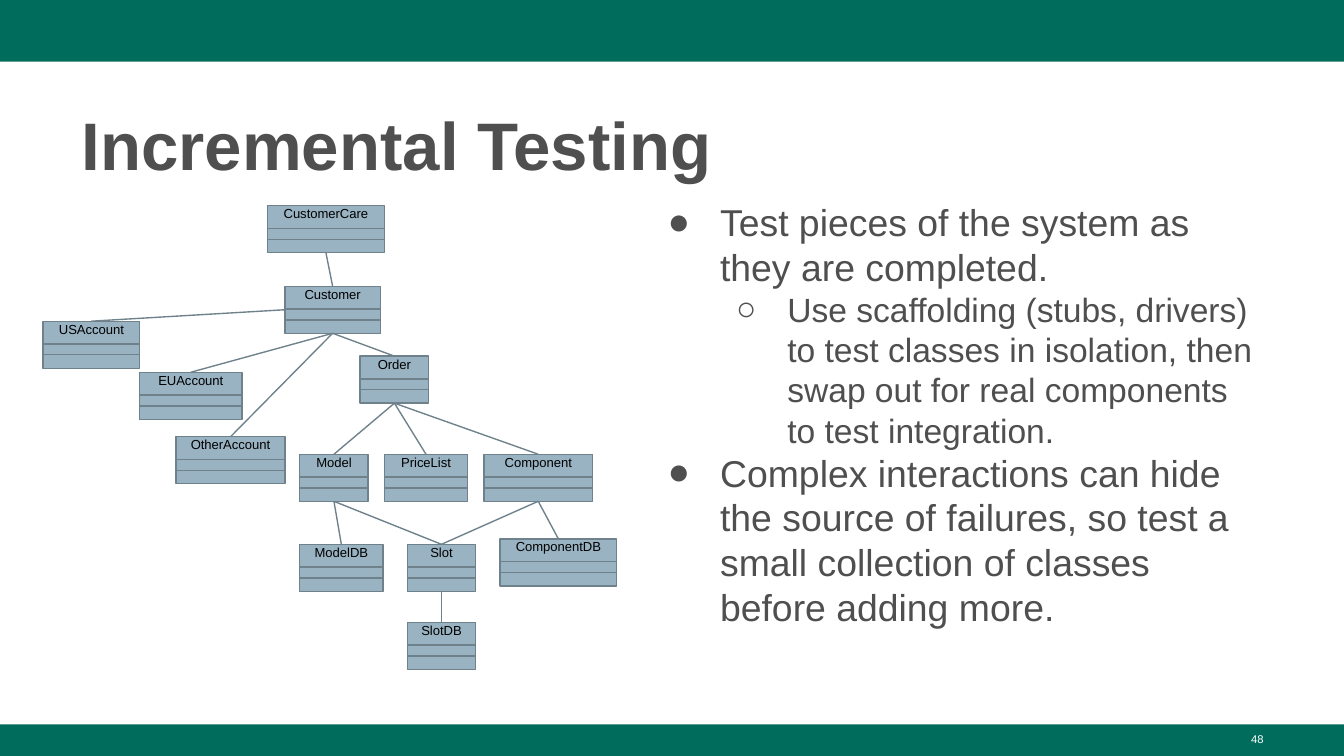
from dataclasses import dataclass

from lxml import etree
from pptx import Presentation
from pptx.dml.color import RGBColor
from pptx.enum.shapes import MSO_CONNECTOR, MSO_SHAPE
from pptx.enum.text import MSO_ANCHOR, PP_ALIGN
from pptx.oxml.ns import qn
from pptx.util import Inches, Pt

RECTANGLE = MSO_SHAPE.RECTANGLE
STRAIGHT = MSO_CONNECTOR.STRAIGHT
TOP, BOTTOM = MSO_ANCHOR.TOP, MSO_ANCHOR.BOTTOM
LEFT, CENTER, RIGHT = PP_ALIGN.LEFT, PP_ALIGN.CENTER, PP_ALIGN.RIGHT

FONT = "Arial"
GREEN, GRAY, WHITE, BLACK = "006C5C", "4F4F4F", "FFFFFF", "000000"
CLASS_FILL, CLASS_LINE = "99B3C2", "6F828C"
SLIDE_WIDTH = 10
SLIDE_HEIGHT = SLIDE_WIDTH * 9 / 16
CLASS_HEIGHT = 0.35
DIVIDER_OFFSETS = (0.17, 0.25)
TOP_SITE, LEFT_SITE, BOTTOM_SITE = 0, 1, 2


@dataclass
class ClassBox:
    name: str
    left: float
    top: float
    width: float


@dataclass
class Link:
    parent: str
    child: str
    parent_site: int = BOTTOM_SITE


@dataclass
class Bullet:
    text: str
    symbol: str
    size: int
    margin: float
    indent: float
    level: int = 0


CLASSES = [
    ClassBox("USAccount", 0.32, 2.39, 0.72),
    ClassBox("OtherAccount", 1.31, 3.25, 0.81),
    ClassBox("EUAccount", 1.04, 2.77, 0.76),
    ClassBox("Customer", 2.12, 2.13, 0.71),
    ClassBox("CustomerCare", 1.99, 1.53, 0.87),
    ClassBox("Order", 2.68, 2.65, 0.51),
    ClassBox("Model", 2.23, 3.38, 0.51),
    ClassBox("PriceList", 2.86, 3.38, 0.62),
    ClassBox("Component", 3.6, 3.38, 0.81),
    ClassBox("Slot", 3.03, 4.05, 0.51),
    ClassBox("ModelDB", 2.23, 4.05, 0.62),
    ClassBox("SlotDB", 3.03, 4.63, 0.51),
    ClassBox("ComponentDB", 3.72, 4.01, 0.87),
]

LINKS = [
    Link("CustomerCare", "Customer"),
    Link("Customer", "USAccount", LEFT_SITE),
    Link("Customer", "EUAccount"),
    Link("Customer", "OtherAccount"),
    Link("Customer", "Order"),
    Link("Order", "Model"),
    Link("Order", "PriceList"),
    Link("Order", "Component"),
    Link("Model", "ModelDB"),
    Link("Model", "Slot"),
    Link("Component", "Slot"),
    Link("Component", "ComponentDB"),
    Link("Slot", "SlotDB"),
]

BULLETS = [
    Bullet("Test pieces of the system as they are completed. ", "●", 20, 0.5, -0.39),
    Bullet("Use scaffolding (stubs, drivers) to test classes in isolation, then "
           "swap out for real components to test integration.", "○", 18, 1, -0.38, 1),
    Bullet("Complex interactions can hide the source of failures, so test a small "
           "collection of classes before adding more.", "●", 20, 0.5, -0.39),
]


def color(value: str) -> RGBColor:
    return RGBColor.from_string(value)


def add_rectangle(slide, left: float, top: float, width: float, height: float,
                  fill: str, line: str = ""):
    shape = slide.shapes.add_shape(RECTANGLE, Inches(left), Inches(top),
                                   Inches(width), Inches(height))
    shape.shadow.inherit = False
    shape.fill.solid()
    shape.fill.fore_color.rgb = color(fill)
    if line:
        shape.line.color.rgb = color(line)
        shape.line.width = Pt(0.75)
    else:
        shape.line.fill.background()
    return shape


def add_line(slide, x1: float, y1: float, x2: float, y2: float):
    connector = slide.shapes.add_connector(STRAIGHT, Inches(x1), Inches(y1),
                                           Inches(x2), Inches(y2))
    connector.line.color.rgb = color(CLASS_LINE)
    connector.line.width = Pt(0.75)
    etree.SubElement(connector.element.spPr, qn("a:effectLst"))
    return connector


def set_frame(shape, side: float, top: float, bottom: float, anchor=TOP):
    frame = shape.text_frame
    frame.word_wrap = True
    frame.margin_left = frame.margin_right = Inches(side)
    frame.margin_top, frame.margin_bottom = Inches(top), Inches(bottom)
    frame.vertical_anchor = anchor
    return frame


def add_text_box(slide, left: float, top: float, width: float, height: float):
    return slide.shapes.add_textbox(Inches(left), Inches(top), Inches(width), Inches(height))


def write(paragraph, text: str, size: int, text_color: str, align=LEFT,
          bold: bool = False) -> None:
    paragraph.alignment = align
    run = paragraph.add_run()
    run.text = text
    run.font.name = FONT
    run.font.size = Pt(size)
    run.font.bold = bold
    run.font.color.rgb = color(text_color)


def set_bullet(paragraph, bullet: Bullet) -> None:
    paragraph.level = bullet.level
    properties = paragraph._p.get_or_add_pPr()
    properties.set("marL", str(Inches(bullet.margin)))
    properties.set("indent", str(Inches(bullet.indent)))
    bullet_color = etree.SubElement(properties, qn("a:buClr"))
    etree.SubElement(bullet_color, qn("a:srgbClr")).set("val", GRAY)
    etree.SubElement(properties, qn("a:buFont")).set("typeface", FONT)
    etree.SubElement(properties, qn("a:buChar")).set("char", bullet.symbol)


def add_class(slide, box: ClassBox):
    shape = add_rectangle(slide, box.left, box.top, box.width, CLASS_HEIGHT,
                          CLASS_FILL, CLASS_LINE)
    frame = set_frame(shape, 0, 0, 0)
    write(frame.paragraphs[0], box.name, 7, BLACK, CENTER)
    for offset in DIVIDER_OFFSETS:
        y = box.top + offset
        add_line(slide, box.left, y, box.left + box.width, y)
    return shape


presentation = Presentation()
presentation.slide_width = Inches(SLIDE_WIDTH)
presentation.slide_height = Inches(SLIDE_HEIGHT)
slide = presentation.slides.add_slide(presentation.slide_layouts[6])

# Header and footer bands
add_rectangle(slide, 0, 0, SLIDE_WIDTH, 0.46, GREEN)
add_rectangle(slide, 0, 5.39, SLIDE_WIDTH, SLIDE_HEIGHT - 5.39, GREEN)

# Title
title = set_frame(add_text_box(slide, 0.51, 0.67, 8.99, 0.73), 0.1, 0.05, 0.03, BOTTOM)
write(title.paragraphs[0], "Incremental Testing", 36, GRAY, bold=True)

# Bullet list
body = set_frame(add_text_box(slide, 4.76, 1.38, 4.74, 3.74), 0.1, 0.1, 0.1)
for index, bullet in enumerate(BULLETS):
    paragraph = body.add_paragraph() if index else body.paragraphs[0]
    set_bullet(paragraph, bullet)
    write(paragraph, bullet.text, bullet.size, GRAY)

# Page number
number = set_frame(add_text_box(slide, 7.17, 5.4, 2.33, 0.23), 0.1, 0.05, 0.05)
write(number.paragraphs[0], "48", 6, WHITE, RIGHT)

# Class diagram
class_shapes = {box.name: add_class(slide, box) for box in CLASSES}
for link in LINKS:
    connector = add_line(slide, 0, 0, 0, 0)
    connector.begin_connect(class_shapes[link.parent], link.parent_site)
    connector.end_connect(class_shapes[link.child], TOP_SITE)

presentation.save("out.pptx")
